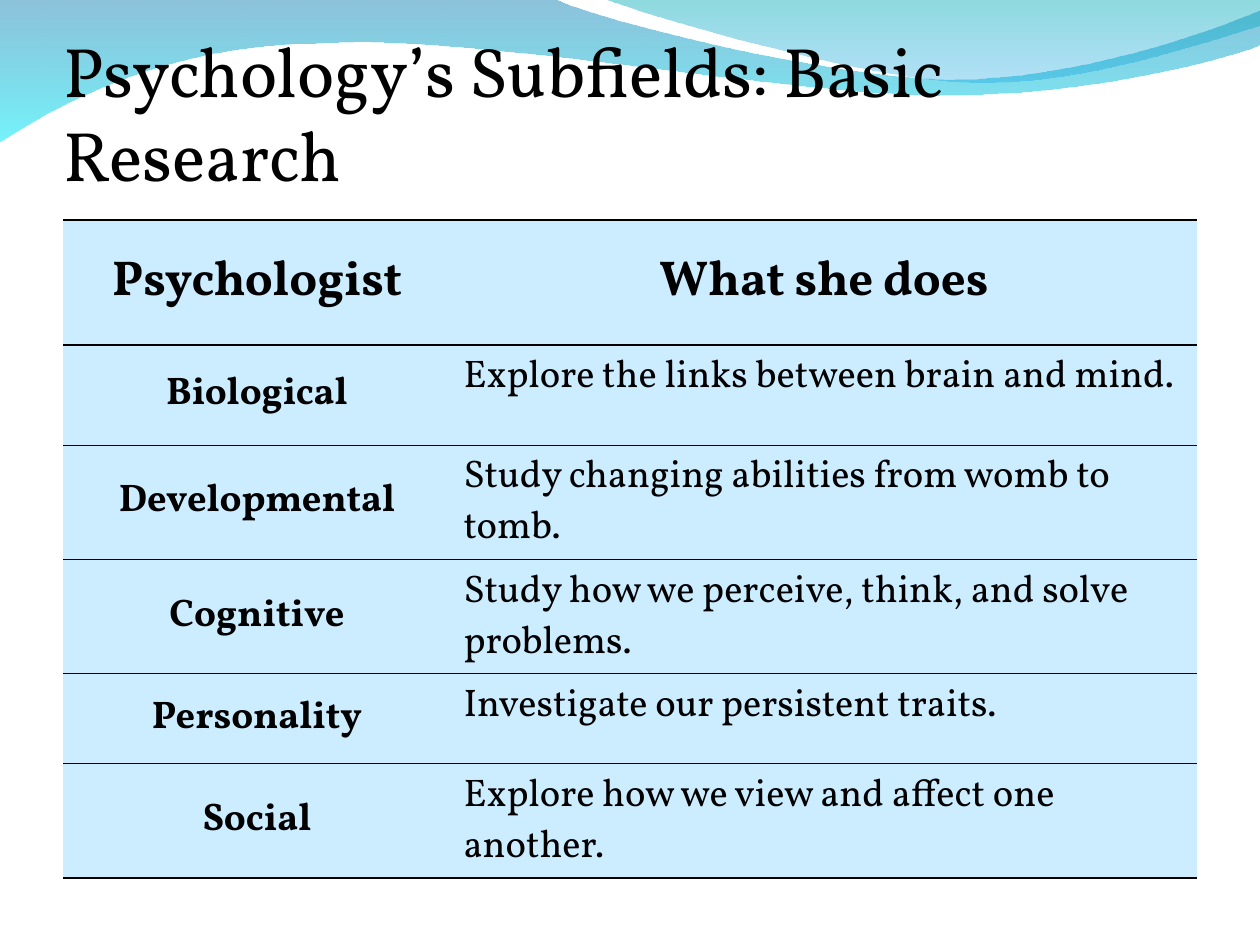
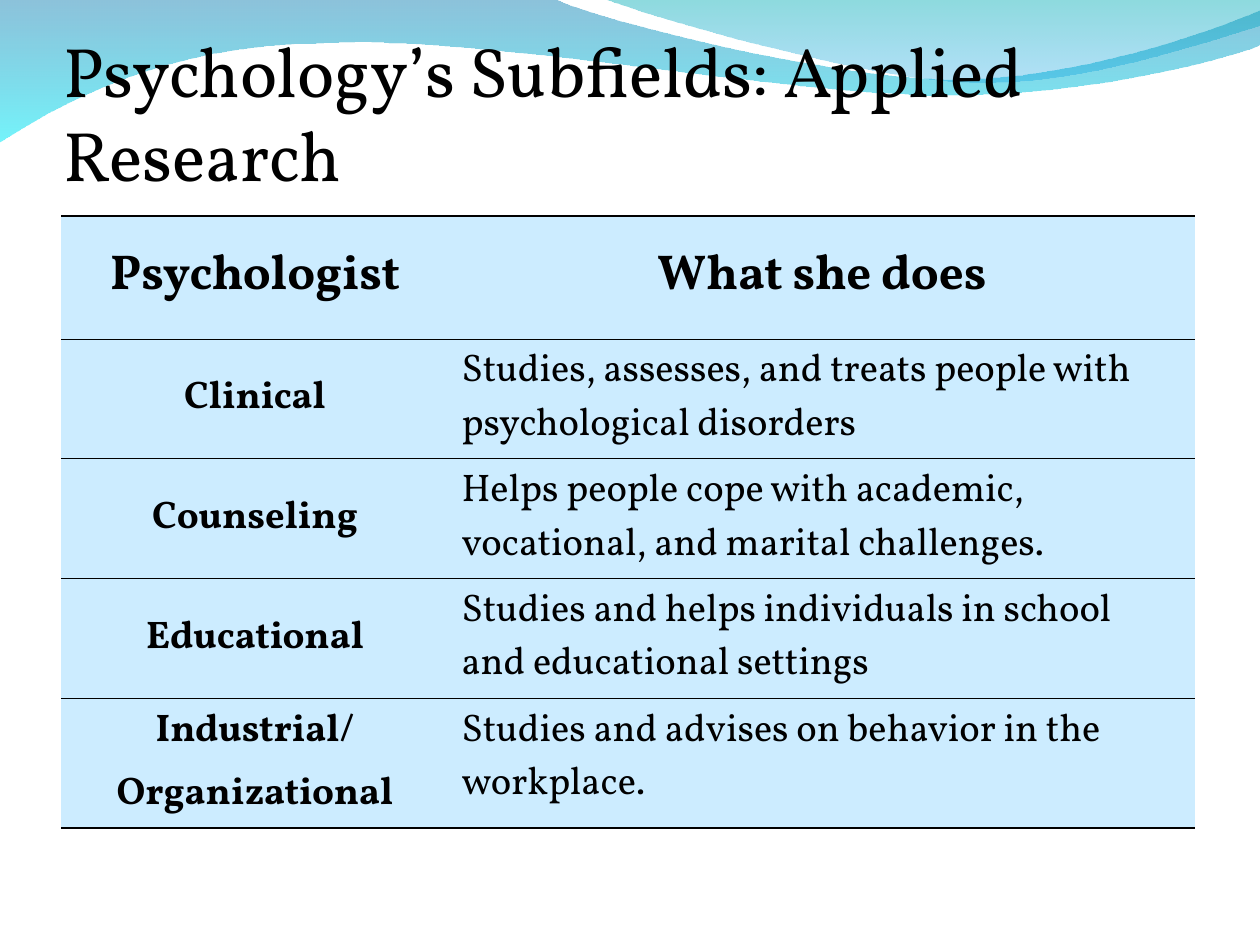
from lxml import etree
from pptx import Presentation
from pptx import util as u
from pptx.dml.color import RGBColor
from pptx.enum import text
from pptx.oxml.ns import qn

# Content
HEADER = ("Psychologist", "What she does")
SLIDES = [
    dict(title="Psychology’s Subfields: Basic Research",
         corner=(63, 220), heights=(125, 100, 101, 101, 90, 101),
         heavy_rules={0, 1, 6}, line_spacing=0.95,
         rows=[
             ("Biological", "Explore the links between brain and mind."),
             ("Developmental", "Study changing abilities from womb to tomb."),
             ("Cognitive", "Study how we perceive, think, and solve problems."),
             ("Personality", "Investigate our persistent traits."),
             ("Social", "Explore how we view and affect one another."),
         ]),
    dict(title="Psychology’s Subfields: Applied Research",
         corner=(61, 216), heights=(123, 105, 105, 105, 115),
         heavy_rules={0, 5}, line_spacing=None,
         rows=[
             ("Clinical", "Studies, assesses, and treats people with psychological disorders"),
             ("Counseling", "Helps people cope with academic, vocational, and marital challenges."),
             ("Educational", "Studies and helps individuals in school and educational settings"),
             ("Industrial/\nOrganizational", "Studies and advises on behavior in the workplace."),
         ]),
]

# Shared look
PX = u.Inches(1) / 126
FONT = "Vollkorn"
BLACK = RGBColor(0x00, 0x00, 0x00)
CELL_BLUE = RGBColor(0xCC, 0xEC, 0xFF)
DEEP_BLUE = RGBColor(0x00, 0x79, 0xAF)
CYAN = RGBColor(0x00, 0xEB, 0xF8)
TEAL = RGBColor(0x00, 0xAD, 0xB6)
SKY = RGBColor(0x00, 0x9B, 0xE5)
TITLE_BOX = (63, 38, 1134, 158)
COLUMNS = (388, 746)
THIN, HEAVY = u.Pt(0.45), u.Pt(1.08)

# Each wave: start, then segments of one point (line) or three (curve);
# stops are (colour, opacity in percent), from top to bottom
WAVES = [
    dict(start=(0, -1), stops=[(DEEP_BLUE, 45), (CYAN, 55)], segments=[
        [(554, -1)],
        [(600, 21), (837, 79), (955, 79)],
        [(1075, 79), (1207, 33), (1260, 11)],
        [(1261, 45)],
        [(1239, 55), (1096, 96), (940, 95)],
        [(784, 95), (481, 35), (324, 43)],
        [(163, 44), (58, 105), (-1, 142)],
    ]),
    dict(start=(604, -1), stops=[(TEAL, 45), (SKY, 30)], segments=[
        [(641, 14), (859, 78), (969, 82)],
        [(1079, 87), (1211, 40), (1260, 26)],
        [(1260, 0)],
    ]),
]


def px(n):
    return u.Emu(round(n * PX))


def write(tf, content, size, bold=False, align=text.PP_ALIGN.LEFT,
          line_spacing=None, space_before=0):
    for i, line in enumerate(content.split("\n")):
        p = tf.add_paragraph() if i else tf.paragraphs[0]
        p.alignment = align
        p.line_spacing = line_spacing
        p.space_before = u.Pt(space_before if i else 0)
        r = p.add_run()
        r.text = line
        r.font.name, r.font.size, r.font.bold = FONT, u.Pt(size), bold
        r.font.color.rgb = BLACK


def bend(sp, segments):
    """Join the three lines of each curved segment into one cubic curve."""
    lines = iter(list(sp.element.iter(qn("a:lnTo"))))
    for segment in segments:
        parts = [next(lines) for _ in segment]
        if len(parts) == 3:
            curve = etree.Element(qn("a:cubicBezTo"))
            parts[0].addprevious(curve)
            for part in parts:
                curve.append(part[0])
                part.getparent().remove(part)


def add_wave(s, start, segments, stops):
    points = [(px(x), px(y)) for segment in segments for x, y in segment]
    builder = s.shapes.build_freeform(*map(px, start), scale=1.0)
    builder.add_line_segments(points, close=True)
    sp = builder.convert_to_shape()
    bend(sp, segments)
    sp.shadow.inherit = False
    sp.line.fill.background()
    sp.fill.gradient()
    sp.fill.gradient_angle = 270
    for i, (stop, (color, _)) in enumerate(zip(sp.fill.gradient_stops, stops)):
        stop.color.rgb, stop.position = color, i
    for color, (_, opacity) in zip(sp.element.iter(qn("a:srgbClr")), stops):
        etree.SubElement(color, qn("a:alpha"), val=str(opacity * 1000))
    return sp


def set_borders(cell, top, bottom):
    tc_pr = cell._tc.get_or_add_tcPr()
    for i, (side, width) in enumerate(zip("LRTB", (0, 0, top, bottom))):
        ln = etree.Element(qn(f"a:ln{side}"), w=str(int(width)))
        if width:
            fill = etree.SubElement(ln, qn("a:solidFill"))
            etree.SubElement(fill, qn("a:srgbClr"), val=str(BLACK))
        else:
            etree.SubElement(ln, qn("a:noFill"))
        tc_pr.insert(i, ln)


def add_title(s, title):
    sp = s.shapes.title
    sp.left, sp.top, sp.width, sp.height = map(px, TITLE_BOX)
    tf = sp.text_frame
    tf.word_wrap, tf.auto_size = True, text.MSO_AUTO_SIZE.NONE
    tf.vertical_anchor = text.MSO_ANCHOR.BOTTOM
    tf.margin_left = tf.margin_right = tf.margin_bottom = 0
    tf.margin_top = u.Inches(0.05)
    write(tf, title, 40)


def add_subfields(s, corner, heights, heavy_rules, line_spacing, rows):
    rows = [HEADER, *rows]
    table = s.shapes.add_table(len(rows), len(COLUMNS), *map(px, corner),
                               px(sum(COLUMNS)), px(sum(heights))).table
    table.first_row = table.horz_banding = False
    for column, width in zip(table.columns, COLUMNS):
        column.width = px(width)
    rules = [HEAVY if i in heavy_rules else THIN for i in range(len(rows) + 1)]
    for i, row in enumerate(rows):
        table.rows[i].height = px(heights[i])
        for j, content in enumerate(row):
            cell = table.cell(i, j)
            cell.fill.solid()
            cell.fill.fore_color.rgb = CELL_BLUE
            set_borders(cell, rules[i], rules[i + 1])
            if i == 0 or j == 0:
                cell.vertical_anchor = text.MSO_ANCHOR.MIDDLE
                write(cell.text_frame, content, 22 if i else 28, bold=True,
                      align=text.PP_ALIGN.CENTER, space_before=5.5)
            else:
                cell.vertical_anchor = text.MSO_ANCHOR.TOP
                write(cell.text_frame, content, 22, line_spacing=line_spacing)


def main():
    prs = Presentation()
    prs.slide_width, prs.slide_height = u.Inches(10), u.Inches(7.5)
    layout = prs.slide_layouts[5]
    for n, content in enumerate(SLIDES):
        s = prs.slides.add_slide(layout)
        if n == 0:
            # The waves belong to the layout, behind its placeholders
            for i, wave in enumerate(WAVES):
                layout.shapes.element.insert(2 + i, add_wave(s, **wave).element)
        add_title(s, content["title"])
        add_subfields(s, **{k: v for k, v in content.items() if k != "title"})
    prs.save("out.pptx")


if __name__ == "__main__":
    main()
